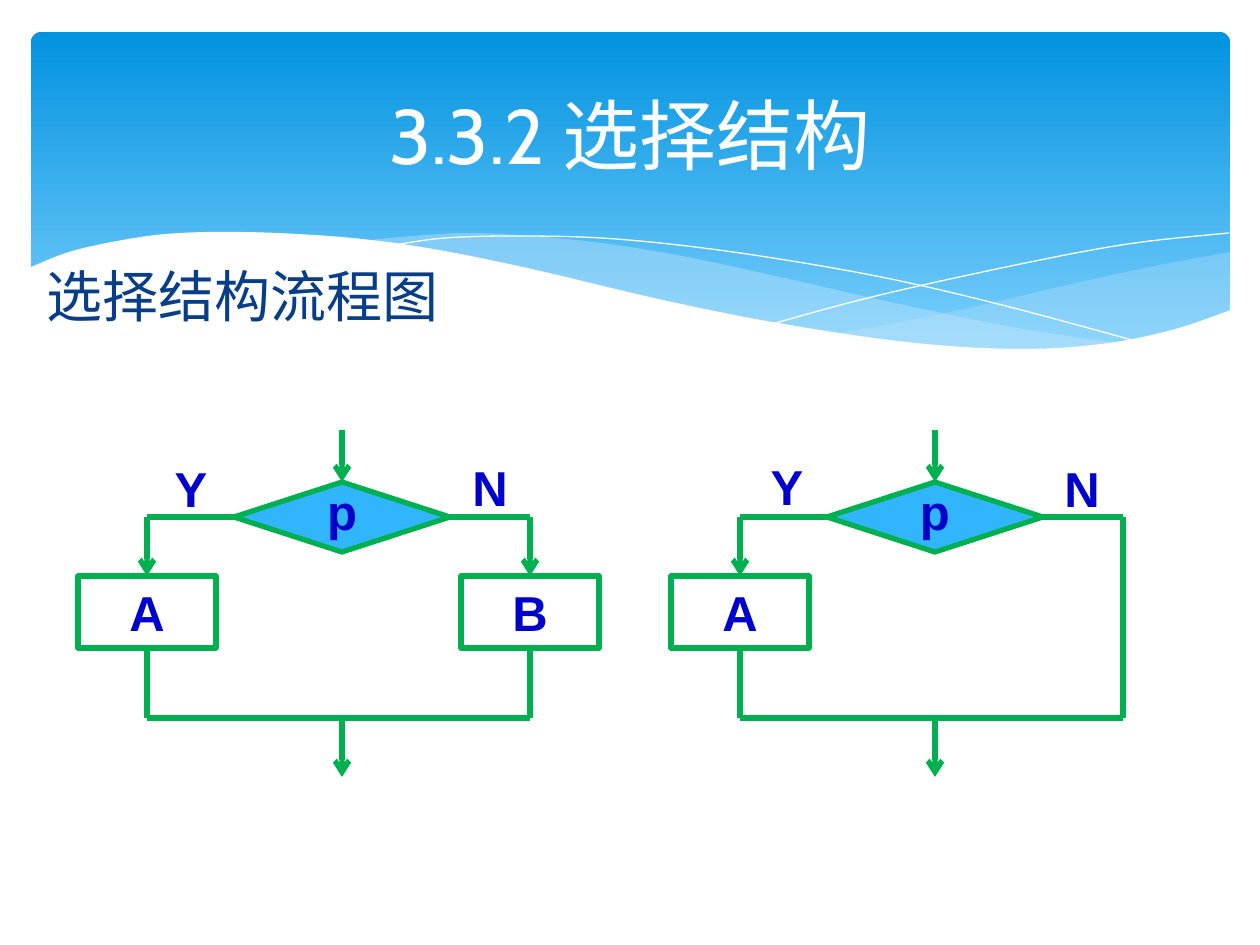
from dataclasses import dataclass
from typing import NamedTuple, Optional

from lxml.etree import SubElement
from pptx import Presentation
from pptx.dml.color import RGBColor
from pptx.enum.shapes import MSO_CONNECTOR, MSO_SHAPE
from pptx.enum.text import MSO_ANCHOR, MSO_AUTO_SIZE, PP_ALIGN
from pptx.oxml.ns import qn
from pptx.util import Emu, Pt

TOP, LEFT, BOTTOM, RIGHT = range(4)


class Point(NamedTuple):
    x: int
    y: int


class Area(NamedTuple):
    left: int
    top: int
    width: int
    height: int


class Joint(NamedTuple):
    shape: object
    site: int


@dataclass(frozen=True)
class Theme:
    white: str = "FFFFFF"
    band_top: str = "0293E0"
    band_bottom: str = "83D3FE"
    sheen: str = "C6E7FC"
    heading: str = "073E87"
    flow: str = "00B050"
    decision: str = "31B6FD"
    label: str = "0000CC"
    heading_font: str = "Cabin"
    label_font: str = "Arial"
    title_size: int = 44
    heading_size: int = 32
    label_size: int = 28
    flow_width: int = 3


@dataclass(frozen=True)
class Flowchart:
    offset: int
    yes_label: Point
    no_label: Point
    yes_step: str
    no_step: Optional[str] = None


THEME = Theme()
FLOWCHARTS = (
    Flowchart(0, Point(142, 452), Point(441, 451), "A", "B"),
    Flowchart(593, Point(145, 450), Point(440, 452), "A"),
)
SHEENS = (
    (29, (
        ((1230, 252), (1160, 265), (1085, 281), (982, 305), (890, 324), (833, 334)),
        ((833, 334), (905, 344), (984, 349), (1063, 349), (1130, 340), (1187, 326),
         (1230, 311)),
    )),
    (40, (
        ((1125, 344), (1017, 328), (890, 302), (793, 280), (682, 256), (585, 241),
         (479, 233), (413, 236), (360, 241)),
        ((360, 241), (456, 256), (566, 280), (668, 302), (779, 325), (893, 343),
         (989, 350), (1056, 350), (1125, 344)),
    )),
)
HAIRLINES = (
    ((389, 246), (445, 238), (524, 236), (616, 239), (733, 252), (876, 276),
     (1002, 305), (1143, 343)),
    ((772, 324), (876, 296), (1016, 265), (1128, 244), (1229, 233)),
)
WAVE = ((1231, 310), (1172, 330), (1102, 344), (1019, 349), (915, 343), (789, 325),
        (667, 301), (527, 268), (427, 248), (341, 237), (243, 232), (166, 234),
        (107, 243), (66, 253), (29, 268))
WAVE_FOOT = [(29, 415), (1231, 415)]


def emu(px: float) -> Emu:
    return Emu(round(px * 914400 / 126))


def color(value: str) -> RGBColor:
    return RGBColor.from_string(value)


def smooth(knots: tuple, steps: int = 6) -> list:
    padded = (knots[0], *knots, knots[-1])
    points = [knots[0]]
    for a, b, c, d in zip(padded, padded[1:], padded[2:], padded[3:]):
        for step in range(1, steps + 1):
            t = step / steps
            points.append(tuple(
                (2 * q + (r - p) * t + (2 * p - 5 * q + 4 * r - s) * t ** 2
                 + (3 * q - p - 3 * r + s) * t ** 3) / 2
                for p, q, r, s in zip(a, b, c, d)))
    return points


def add_outline(page, points: list, fill: Optional[str] = None, opacity: int = 100) -> None:
    start, *rest = [(emu(x), emu(y)) for x, y in points]
    builder = page.shapes.build_freeform(*start, scale=1.0)
    builder.add_line_segments(rest, close=fill is not None)
    shape = builder.convert_to_shape()
    shape.shadow.inherit = False
    if fill is None:
        shape.fill.background()
        shape.line.color.rgb = color(THEME.white)
        shape.line.width = Pt(0)
        return
    shape.line.fill.background()
    shape.fill.solid()
    shape.fill.fore_color.rgb = color(fill)
    if opacity < 100:
        paint = next(shape.element.spPr.iter(qn("a:srgbClr")))
        SubElement(paint, qn("a:alpha")).set("val", str(opacity * 1000))


def add_backdrop(page) -> None:
    band = page.shapes.add_shape(
        MSO_SHAPE.ROUNDED_RECTANGLE, *map(emu, Area(31, 32, 1199, 340)))
    band.adjustments[0] = 0.03
    band.shadow.inherit = False
    band.line.fill.background()
    band.fill.gradient()
    band.fill.gradient_angle = 270
    for stop, shade in zip(band.fill.gradient_stops, (THEME.band_top, THEME.band_bottom)):
        stop.color.rgb = color(shade)
    for opacity, (upper, lower) in SHEENS:
        add_outline(page, smooth(upper) + smooth(lower)[1:], THEME.sheen, opacity)
    for knots in HAIRLINES:
        add_outline(page, smooth(knots))
    add_outline(page, smooth(WAVE) + WAVE_FOOT, THEME.white)


def write(shape, text: str, font: str, size: int, shade: str, bold: bool = False,
          align: PP_ALIGN = PP_ALIGN.CENTER, anchor: MSO_ANCHOR = MSO_ANCHOR.TOP) -> None:
    frame = shape.text_frame
    frame.word_wrap = True
    frame.auto_size = MSO_AUTO_SIZE.NONE
    frame.vertical_anchor = anchor
    para = frame.paragraphs[0]
    para.text = text
    para.alignment = align
    para.font.name = font
    para.font.size = Pt(size)
    para.font.bold = bold
    para.font.color.rgb = color(shade)


def add_label(page, text: str, area: Area) -> None:
    box = page.shapes.add_textbox(*map(emu, area))
    write(box, text, THEME.label_font, THEME.label_size, THEME.label, True)


def add_node(page, kind: MSO_SHAPE, area: Area, fill: Optional[str] = None):
    node = page.shapes.add_shape(kind, *map(emu, area))
    node.shadow.inherit = False
    if fill:
        node.fill.solid()
        node.fill.fore_color.rgb = color(fill)
    else:
        node.fill.background()
    node.line.color.rgb = color(THEME.flow)
    node.line.width = Pt(THEME.flow_width)
    return node


def add_step(page, text: str, center: int):
    step = add_node(page, MSO_SHAPE.RECTANGLE, Area(center - 69, 576, 138, 72))
    write(step, text, THEME.label_font, THEME.label_size, THEME.label, True)
    return step


def add_flow(page, start: Point, end: Point, arrow: bool = False,
             begin: Optional[Joint] = None, finish: Optional[Joint] = None) -> None:
    flow = page.shapes.add_connector(MSO_CONNECTOR.STRAIGHT, *map(emu, (*start, *end)))
    if begin:
        flow.begin_connect(begin.shape, begin.site)
    if finish:
        flow.end_connect(finish.shape, finish.site)
    flow.line.color.rgb = color(THEME.flow)
    flow.line.width = Pt(THEME.flow_width)
    if arrow:
        SubElement(flow.line._get_or_add_ln(), qn("a:tailEnd")).set("type", "arrow")
    SubElement(flow.element.spPr, qn("a:effectLst"))


def add_flowchart(page, chart: Flowchart) -> None:
    middle, yes_x, no_x = (chart.offset + x for x in (342, 147, 530))
    branch_y, step_top, step_bottom, merge_y = 517, 576, 648, 718
    decision = add_node(page, MSO_SHAPE.FLOWCHART_DECISION,
                        Area(middle - 108, 482, 216, 70), THEME.decision)
    add_label(page, "p", Area(middle - 39, 475, 78, 72))
    add_flow(page, Point(middle, 430), Point(middle, 482), True,
             finish=Joint(decision, TOP))
    branches = ((yes_x, LEFT, chart.yes_step, "Y", chart.yes_label),
                (no_x, RIGHT, chart.no_step, "N", chart.no_label))
    for x, side, step_text, answer, spot in branches:
        turn, merge = Point(x, branch_y), Point(x, merge_y)
        add_flow(page, Point(middle, branch_y), turn, begin=Joint(decision, side))
        add_label(page, answer, Area(chart.offset + spot.x, spot.y, 98, 72))
        if step_text:
            step = add_step(page, step_text, x)
            add_flow(page, turn, Point(x, step_top), True, finish=Joint(step, TOP))
            add_flow(page, Point(x, step_bottom), merge, begin=Joint(step, BOTTOM))
        else:
            add_flow(page, turn, merge)
    add_flow(page, Point(yes_x, merge_y), Point(no_x, merge_y))
    add_flow(page, Point(middle, merge_y), Point(middle, 777), True)


def main() -> None:
    deck = Presentation()
    deck.slide_width, deck.slide_height = emu(1260), emu(945)
    page = deck.slides.add_slide(deck.slide_layouts[5])
    add_backdrop(page)
    title = page.shapes.title
    title.left, title.top, title.width, title.height = map(emu, Area(63, 47, 1134, 173))
    write(title, "3.3.2 选择结构", THEME.heading_font, THEME.title_size, THEME.white,
          anchor=MSO_ANCHOR.MIDDLE)
    title.element.getparent().append(title.element)
    heading = page.shapes.add_textbox(*map(emu, Area(34, 255, 1201, 645)))
    write(heading, "选择结构流程图", THEME.heading_font, THEME.heading_size, THEME.heading,
          align=PP_ALIGN.LEFT)
    for chart in FLOWCHARTS:
        add_flowchart(page, chart)
    deck.save("out.pptx")


if __name__ == "__main__":
    main()
